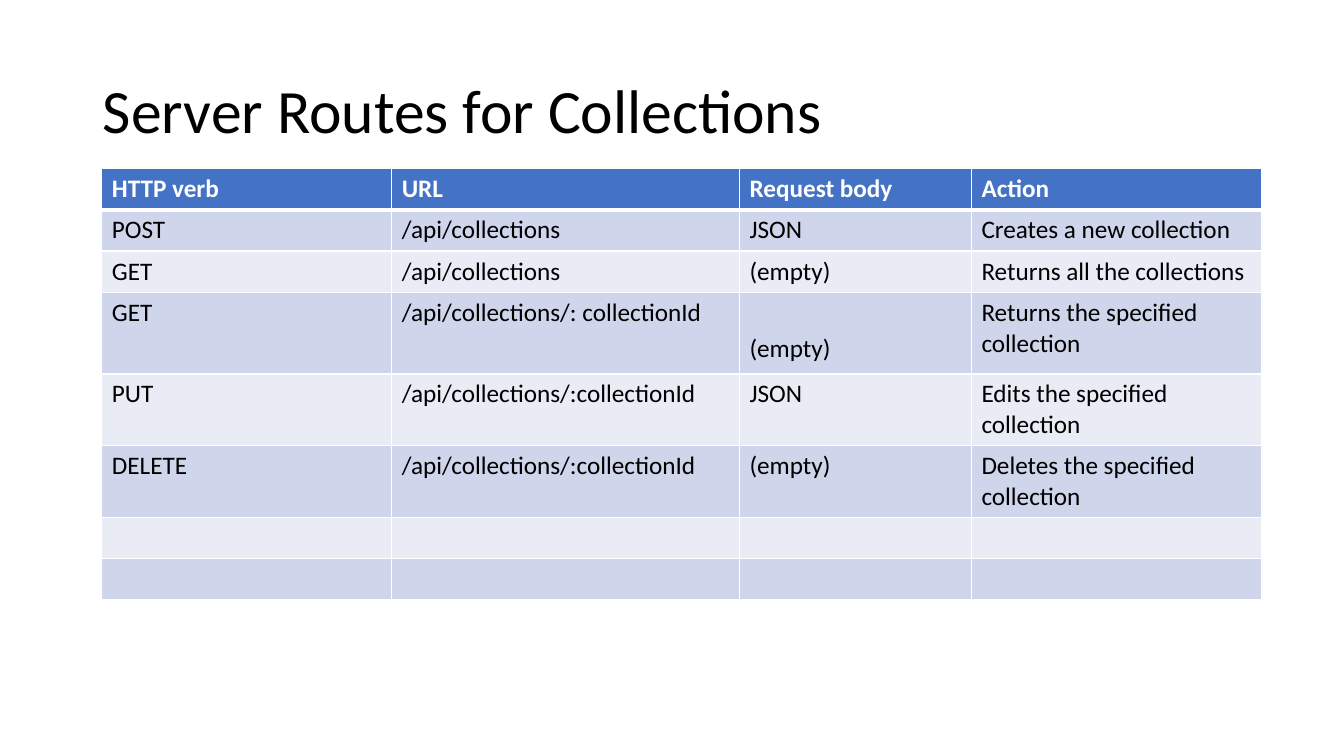
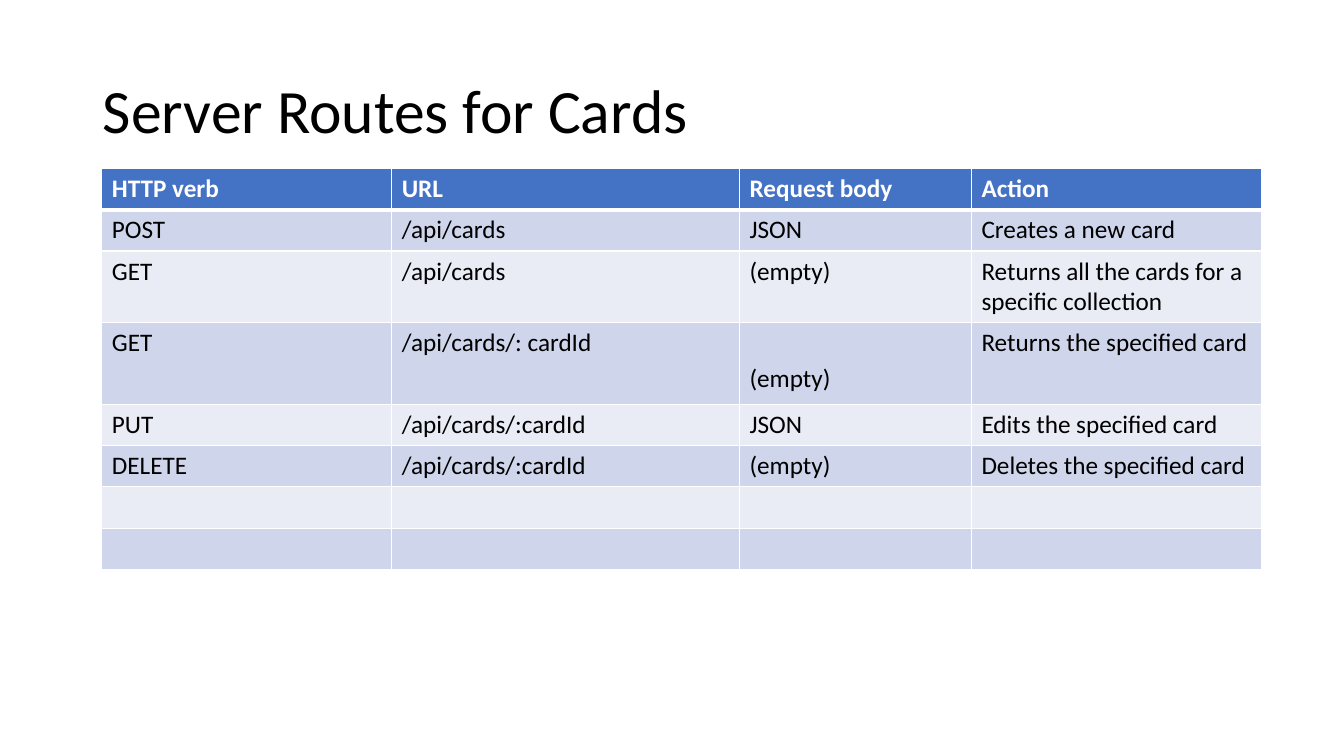
from lxml import etree
from pptx import Presentation
from pptx.dml.color import RGBColor
from pptx.enum.text import MSO_ANCHOR, PP_ALIGN
from pptx.oxml.ns import qn
from pptx.util import Emu, Inches, Pt

COLORS = {
    "text": "000000",
    "header": "4472C4",
    "header_text": "FFFFFF",
    "band_dark": "CFD5EA",
    "band_light": "E9EBF5",
    "border": "FFFFFF",
}
FONT = "Calibri"
TITLE_BOX = [Inches(v) for v in (0.92, 0.4, 11.5, 1.45)]
TABLE_LEFT, TABLE_TOP, TABLE_WIDTH = Inches(1.01), Inches(1.67), Inches(11.5)
COLUMN_SHARES = (0.25, 0.3, 0.2, 0.25)
ROW, TALL_ROW, LOW_TEXT_ROW = Inches(0.41), Inches(0.71), Inches(0.81)
HEADERS = ("HTTP verb", "URL", "Request body", "Action")
ROW_COUNT = 8
LOW_TEXT_CELL = (3, 2)


def routes(noun, list_action):
    url = f"/api/{noun}s"
    one = f"the specified {noun}"
    return [
        ("POST", url, "JSON", f"Creates a new {noun}"),
        ("GET", url, "(empty)", list_action),
        ("GET", f"{url}/: {noun}Id", "(empty)", f"Returns {one}"),
        ("PUT", f"{url}/:{noun}Id", "JSON", f"Edits {one}"),
        ("DELETE", f"{url}/:{noun}Id", "(empty)", f"Deletes {one}"),
    ]


def add_run(p, text, size, color, bold=False):
    r = p.add_run()
    r.text = text
    r.font.name = FONT
    r.font.size = Pt(size)
    r.font.bold = bold
    r.font.color.rgb = RGBColor.from_string(COLORS[color])


def set_borders(cell, top, bottom):
    """Draw the four cell edges; top and bottom are widths in points."""
    tc_pr = cell._tc.get_or_add_tcPr()
    for tag, width in (("lnL", 1), ("lnR", 1), ("lnT", top), ("lnB", bottom)):
        ln = etree.SubElement(tc_pr, qn(f"a:{tag}"), w=str(Pt(width)))
        fill = etree.SubElement(ln, qn("a:solidFill"))
        etree.SubElement(fill, qn("a:srgbClr"), val=COLORS["border"])


def add_title(s, text):
    title = s.shapes.title
    title.left, title.top, title.width, title.height = TITLE_BOX
    tf = title.text_frame
    tf.vertical_anchor = MSO_ANCHOR.MIDDLE
    p = tf.paragraphs[0]
    p.alignment = PP_ALIGN.LEFT
    p.line_spacing = 0.9
    add_run(p, text, 44, "text")


def fill_cell(cell, row, text):
    is_header = row == 0
    set_borders(cell, 3 if row == 1 else 1, 3 if is_header else 1)
    band = "header" if is_header else "band_dark" if row % 2 else "band_light"
    cell.fill.solid()
    cell.fill.fore_color.rgb = RGBColor.from_string(COLORS[band])
    p = cell.text_frame.paragraphs[0]
    p.font.size = Pt(18)
    if text:
        add_run(p, text, 18, "header_text" if is_header else "text", is_header)


def add_routes_table(s, rows, tall_rows):
    frame = s.shapes.add_table(ROW_COUNT, len(HEADERS), TABLE_LEFT, TABLE_TOP,
                               TABLE_WIDTH, ROW * ROW_COUNT)
    table = frame.table
    for column, share in zip(table.columns, COLUMN_SHARES):
        column.width = Emu(round(TABLE_WIDTH * share))
    blank = ("",) * len(HEADERS)
    filled = [HEADERS] + rows
    for i, texts in enumerate(filled + [blank] * (ROW_COUNT - len(filled))):
        table.rows[i].height = TALL_ROW if i in tall_rows else ROW
        for j, text in enumerate(texts):
            fill_cell(table.cell(i, j), i, text)
    table.rows[LOW_TEXT_CELL[0]].height = LOW_TEXT_ROW
    low = table.cell(*LOW_TEXT_CELL)
    low.vertical_anchor = MSO_ANCHOR.BOTTOM
    low.margin_left = low.margin_right = Inches(0.1)
    low.margin_top = low.margin_bottom = Inches(0.1)


def add_routes_slide(prs, title, rows, tall_rows):
    s = prs.slides.add_slide(prs.slide_layouts[5])
    add_title(s, title)
    add_routes_table(s, rows, tall_rows)


def main():
    prs = Presentation()
    prs.slide_width, prs.slide_height = Inches(13.33), Inches(7.5)
    add_routes_slide(prs, "Server Routes for Collections",
                     routes("collection", "Returns all the collections"), (4, 5))
    add_routes_slide(prs, "Server Routes for Cards",
                     routes("card", "Returns all the cards for a specific collection"), (2,))
    prs.save("out.pptx")


if __name__ == "__main__":
    main()
